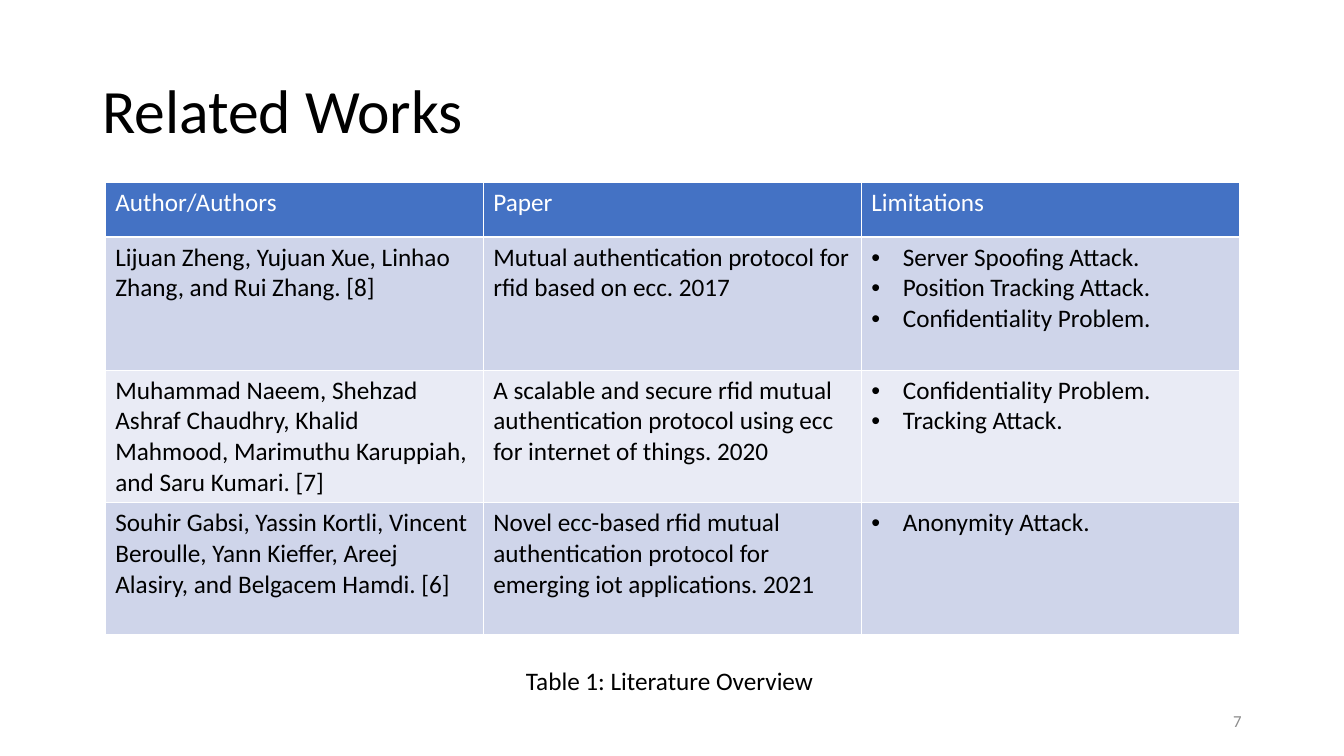
"""Build the Related Works slide with its literature table."""
from lxml.etree import SubElement
from pptx import Presentation
from pptx.dml.color import RGBColor
from pptx.enum.text import MSO_ANCHOR as ANCHOR, PP_ALIGN as ALIGN
from pptx.oxml.ns import qn
from pptx.util import Pt


def rgb(value):
    return RGBColor.from_string(value)


def style(p, size, color):
    for r in p.runs:
        r.font.name = "Calibri"
        r.font.size = Pt(size)
        r.font.bold = False
        r.font.color.rgb = rgb(color)


prs = Presentation()
prs.slide_width, prs.slide_height = Pt(960), Pt(540)
s = prs.slides.add_slide(prs.slide_layouts[6])

texts = [
    ("Related Works", (66, 28.8, 828, 104.4), 44, "000000", ALIGN.LEFT, ANCHOR.MIDDLE, True, 0.9),
    ("7", (678, 500.5, 216, 28.75), 12, "8C8C8C", ALIGN.RIGHT, ANCHOR.MIDDLE, True, 1),
    ("Table 1: Literature Overview", (368.6, 471.6, 222.5, 29), 18, "000000", ALIGN.LEFT, ANCHOR.TOP, False, 1),
]
for text, box, size, color, align, anchor, wrap, spacing in texts:
    tf = s.shapes.add_textbox(*map(Pt, box)).text_frame
    tf.word_wrap = wrap
    tf.vertical_anchor = anchor
    tf.text = text
    p = tf.paragraphs[0]
    p.alignment = align
    p.line_spacing = spacing
    style(p, size, color)

rows = [
    ("Author/Authors", "Paper", "Limitations"),
    ("Lijuan Zheng, Yujuan Xue, Linhao Zhang, and Rui Zhang. [8]",
     "Mutual authentication protocol for rfid based on ecc. 2017",
     "Server Spoofing Attack.\nPosition Tracking Attack.\nConfidentiality Problem."),
    ("Muhammad Naeem, Shehzad Ashraf Chaudhry, Khalid Mahmood, Marimuthu Karuppiah, and Saru Kumari. [7]",
     "A scalable and secure rfid mutual authentication protocol using ecc for internet of things. 2020",
     "Confidentiality Problem.\nTracking Attack."),
    ("Souhir Gabsi, Yassin Kortli, Vincent Beroulle, Yann Kieffer, Areej Alasiry, and Belgacem Hamdi. [6]",
     "Novel ecc-based rfid mutual authentication protocol for emerging iot applications. 2021",
     "Anonymity Attack."),
]
heights = [38.8, 95.1, 94.6, 94.6]
fills = ["4472C4", "CFD5EA", "E9EBF5", "CFD5EA"]
table = s.shapes.add_table(4, 3, Pt(75.2), Pt(130.5), Pt(810), Pt(sum(heights))).table
for column in table.columns:
    column.width = Pt(270)
for i, row in enumerate(rows):
    table.rows[i].height = Pt(heights[i])
    for j, text in enumerate(row):
        cell = table.cell(i, j)
        cell.fill.solid()
        cell.fill.fore_color.rgb = rgb(fills[i])
        cell.text_frame.text = text
        for p in cell.text_frame.paragraphs:
            if i > 0 and j == 2:
                pPr = p._p.get_or_add_pPr()
                pPr.set("marL", str(Pt(22.5)))
                pPr.set("indent", str(-Pt(22.5)))
                SubElement(pPr, qn("a:buFont")).set("typeface", "Arial")
                SubElement(pPr, qn("a:buChar")).set("char", "•")
            style(p, 18, "000000" if i else "FFFFFF")

prs.save("out.pptx")
